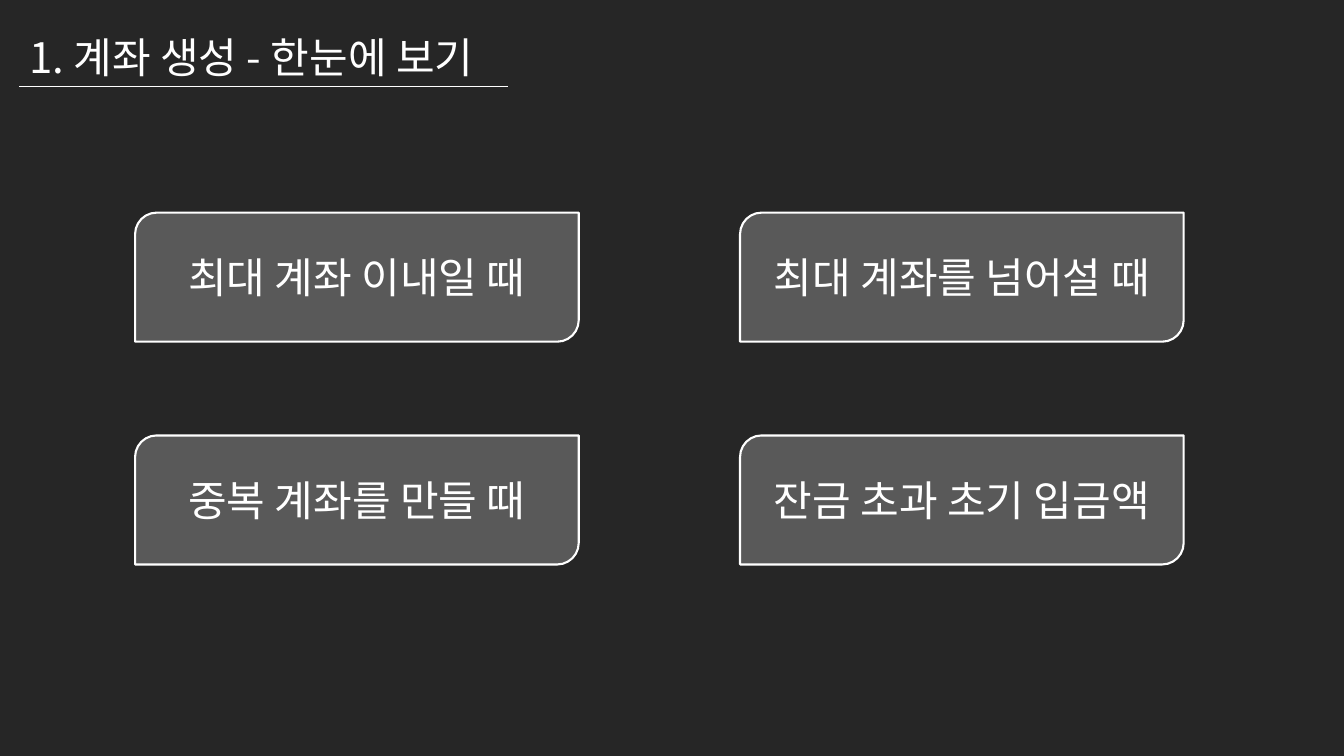
from lxml.etree import SubElement
from pptx import Presentation
from pptx.dml.color import RGBColor
from pptx.enum.shapes import MSO_CONNECTOR, MSO_SHAPE
from pptx.enum.text import MSO_AUTO_SIZE, PP_ALIGN
from pptx.oxml.ns import qn
from pptx.util import Inches, Pt

BACKGROUND = RGBColor(0x26, 0x26, 0x26)
CARD_FILL = RGBColor(0x59, 0x59, 0x59)
WHITE = RGBColor(0xFF, 0xFF, 0xFF)
FONT = "Noto Sans CJK KR"


def add_label(shapes, text, left, top, width, align):
    label = shapes.add_textbox(Inches(left), Inches(top), Inches(width), Inches(0.6))
    frame = label.text_frame
    frame.word_wrap = True
    frame.auto_size = MSO_AUTO_SIZE.SHAPE_TO_FIT_TEXT
    paragraph = frame.paragraphs[0]
    paragraph.alignment = align
    run = paragraph.add_run()
    run.text = text
    run.font.size = Pt(30)
    run.font.name = FONT
    run.font.color.rgb = WHITE
    # Korean glyphs take the East Asian typeface
    SubElement(run.font._element, qn("a:ea"), typeface=FONT)


presentation = Presentation()
presentation.slide_width = Inches(13.33)
presentation.slide_height = Inches(7.5)
slide = presentation.slides.add_slide(presentation.slide_layouts[6])
slide.background.fill.solid()
slide.background.fill.fore_color.rgb = BACKGROUND

underline = slide.shapes.add_connector(
    MSO_CONNECTOR.STRAIGHT, Inches(0.19), Inches(0.86), Inches(5.04), Inches(0.86))
underline.line.color.rgb = WHITE
underline.line.width = Pt(1)
SubElement(underline._element.spPr, qn("a:effectLst"))
add_label(slide.shapes, "1. 계좌 생성 - 한눈에 보기", 0.19, 0.26, 5.22, PP_ALIGN.LEFT)

CARD_LEFT, CARD_TOP = 1.34, 2.11
CARD_WIDTH, CARD_HEIGHT = 4.4, 1.28
COLUMN_STEP, ROW_STEP = 6, 2.21
LABEL_WIDTHS = [4.13, 4.4]
CASES = [
    ["최대 계좌 이내일 때", "최대 계좌를 넘어설 때"],
    ["중복 계좌를 만들 때", "잔금 초과 초기 입금액"],
]

for row, cases in enumerate(CASES):
    for column, case in enumerate(cases):
        left = CARD_LEFT + column * COLUMN_STEP
        top = CARD_TOP + row * ROW_STEP
        group = slide.shapes.add_group_shape()
        card = group.shapes.add_shape(
            MSO_SHAPE.ROUND_2_DIAG_RECTANGLE,
            Inches(left), Inches(top), Inches(CARD_WIDTH), Inches(CARD_HEIGHT))
        card.shadow.inherit = False
        card.fill.solid()
        card.fill.fore_color.rgb = CARD_FILL
        card.line.color.rgb = WHITE
        card.line.width = Pt(1.5)
        label_width = LABEL_WIDTHS[column]
        label_left = left + (CARD_WIDTH - label_width) / 2
        add_label(group.shapes, case, label_left, top + 0.34, label_width, PP_ALIGN.CENTER)

presentation.save("out.pptx")
